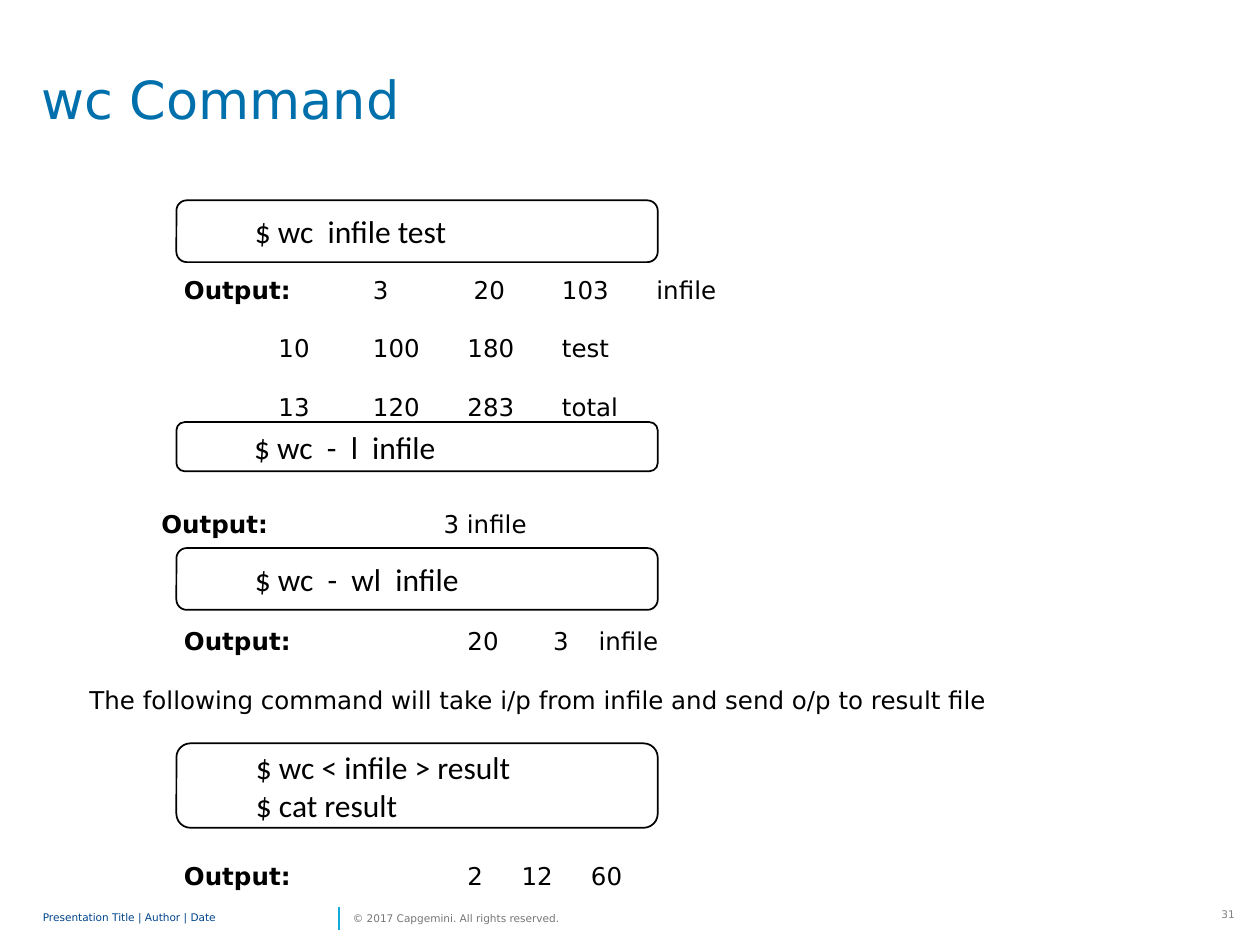
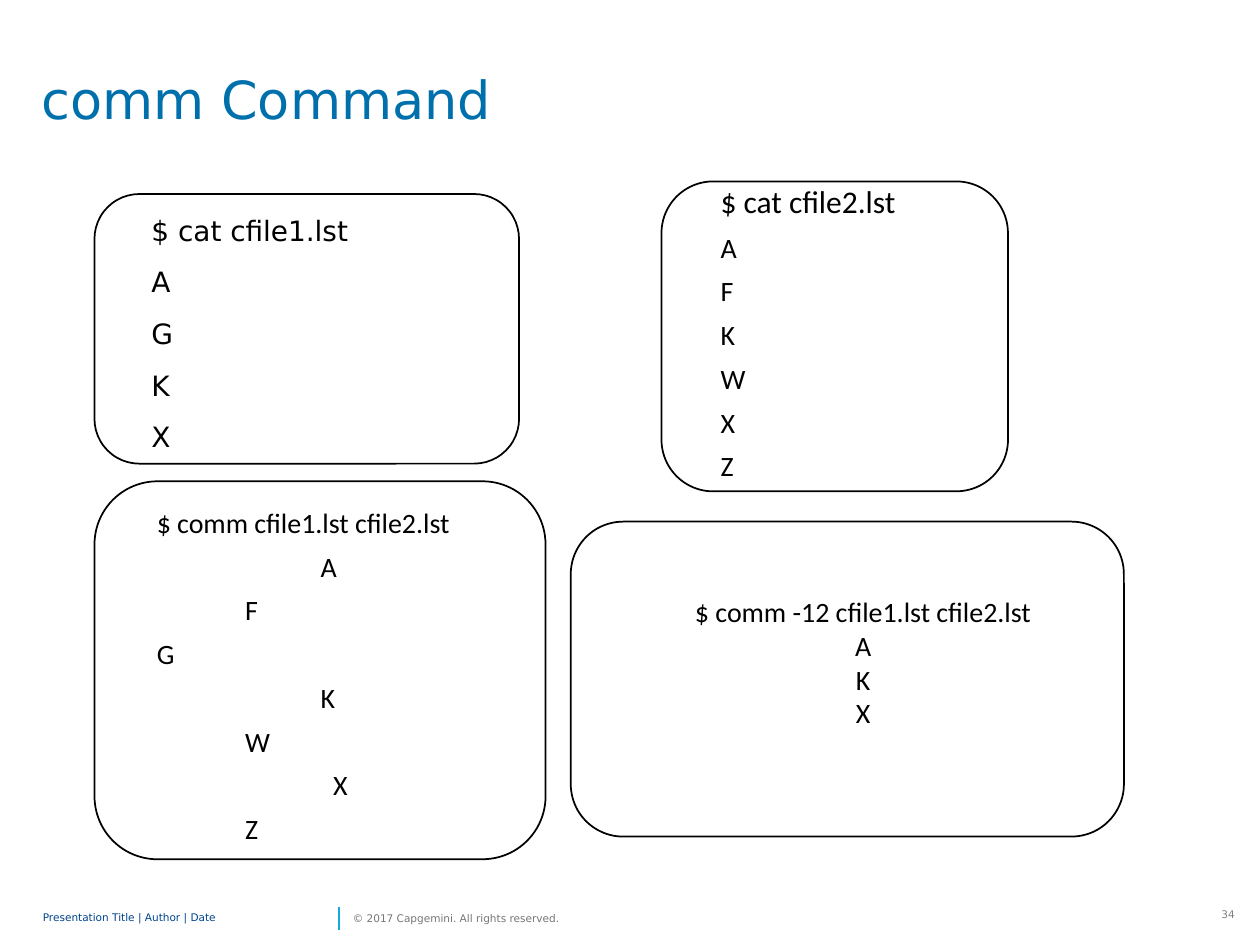
from dataclasses import dataclass

from lxml.etree import SubElement
from pptx import Presentation
from pptx.dml.color import RGBColor
from pptx.enum.shapes import MSO_CONNECTOR, MSO_SHAPE
from pptx.enum.text import MSO_ANCHOR, PP_ALIGN
from pptx.oxml.ns import qn
from pptx.util import Inches, Pt


@dataclass(frozen=True)
class Theme:
    title: str = "0070AD"
    footer: str = "00458D"
    rights: str = "767676"
    number: str = "808080"
    accent: str = "12ABDB"
    ink: str = "000000"
    paper: str = "FFFFFF"
    sans: str = "DejaVu Sans"
    code: str = "Calibri"
    title_size: int = 30
    command_size: int = 18
    listing_size: int = 16
    body_size: int = 14
    footer_size: int = 6
    rule: int = 1
    row: int = 29
    listing_row: int = 25
    gap: float = 4.5


T = Theme()


def rgb(value):
    return RGBColor.from_string(value)


def set_frame(tf, anchor=MSO_ANCHOR.TOP, insets=(0, 0, 0, 0)):
    tf.word_wrap = True
    tf.vertical_anchor = anchor
    tf.margin_left, tf.margin_top, tf.margin_right, tf.margin_bottom = map(Inches, insets)


def next_paragraph(tf, index):
    return tf.add_paragraph() if index else tf.paragraphs[0]


def add_run(p, text, size, color=T.ink, font=T.sans, bold=False):
    r = p.add_run()
    r.text = text
    r.font.size = Pt(size)
    r.font.name = font
    r.font.bold = bold
    r.font.color.rgb = rgb(color)


def add_label(s, box, text, size, color, anchor=MSO_ANCHOR.TOP, spacing=None,
              align=PP_ALIGN.LEFT, insets=(0, 0, 0, 0)):
    tf = s.shapes.add_textbox(*map(Inches, box)).text_frame
    set_frame(tf, anchor, insets)
    p = tf.paragraphs[0]
    p.alignment = align
    p.line_spacing = spacing
    add_run(p, text, size, color)


def add_footer(s, top, number):
    add_label(s, (9.57, top, 0.3, 0.18), number, T.footer_size, T.number,
              align=PP_ALIGN.RIGHT, insets=(0.07, 0.04, 0.07, 0.04))
    line = s.shapes.add_connector(MSO_CONNECTOR.STRAIGHT, Inches(2.69), Inches(top + 0.21),
                                  Inches(2.69), Inches(top + 0.03))
    line.line.color.rgb = rgb(T.accent)
    line.line.width = Pt(T.rule)
    SubElement(line._element.spPr, qn("a:effectLst"))
    add_label(s, (0.34, top, 2.32, 0.24), "Presentation Title | Author | Date",
              T.footer_size, T.footer, MSO_ANCHOR.MIDDLE, 0.85)
    add_label(s, (2.8, top, 1.82, 0.24), "© 2017 Capgemini. All rights reserved.",
              T.footer_size, T.rights, MSO_ANCHOR.MIDDLE)


def add_base(prs, title, number):
    s = prs.slides.add_slide(prs.slide_layouts[6])
    add_footer(s, 7.17, number)
    add_label(s, (0.33, 0.59, 8.98, 0.8), title, T.title_size, T.title, spacing=0.9)
    return s


def add_code_box(s, box, lines, size, indent=0.25, offsets=None, first_size=None,
                 first_spacing=None, spacing=None, before=0, font=T.code,
                 align=PP_ALIGN.LEFT, anchor=MSO_ANCHOR.MIDDLE, insets=(0.1, 0, 0.1, 0)):
    sp = s.shapes.add_shape(MSO_SHAPE.ROUNDED_RECTANGLE, *map(Inches, box))
    sp.shadow.inherit = False
    sp.fill.solid()
    sp.fill.fore_color.rgb = rgb(T.paper)
    sp.line.color.rgb = rgb(T.ink)
    sp.line.width = Pt(T.rule)
    tf = sp.text_frame
    set_frame(tf, anchor, insets)
    for i, text in enumerate(lines):
        p = next_paragraph(tf, i)
        p.alignment = align
        left = indent + (offsets[i] if offsets else 0)
        p._p.get_or_add_pPr().set("marL", str(Inches(left)))
        p.line_spacing = first_spacing if i == 0 else spacing
        if i:
            p.space_before = Pt(before)
        add_run(p, text, first_size if first_size and i == 0 else size, font=font)


def add_output_rows(s, box, rows):
    tf = s.shapes.add_textbox(*map(Inches, box)).text_frame
    set_frame(tf)
    for i, (skipped, cells) in enumerate(rows):
        p = next_paragraph(tf, i)
        tabs = SubElement(p._p.get_or_add_pPr(), qn("a:tabLst"))
        for x, _ in cells:
            SubElement(tabs, qn("a:tab"), pos=str(Inches(x)), algn="l")
        p.line_spacing = Pt(T.row)
        if i:
            p.space_before = Pt(T.gap + skipped * (T.row + T.gap))
        for _, text in cells:
            add_run(p, "\t" + text, T.body_size, bold=text == "Output:")


def build_wc(prs):
    s = add_base(prs, "wc Command", "31")
    columns = [1.88 + 0.75 * i for i in range(4)]
    add_output_rows(s, (0.33, 2.01, 8.98, 5.16), [
        (0, [(1.13, "Output:"), (2.63, "3"), (3.43, "20"), (4.13, "103"), (4.88, "infile")]),
        (0, list(zip(columns, ("10", "100", "180", "test")))),
        (0, list(zip(columns, ("13", "120", "283", "total")))),
        (1, [(0.95, "Output:"), (3.19, "3 infile")]),
        (1, [(1.13, "Output:"), (3.38, "20"), (4.06, "3"), (4.42, "infile")]),
        (0, [(0.38, "The following command will take i/p from infile and send o/p to result file")]),
        (2, [(1.13, "Output:"), (3.38, "2"), (3.81, "12"), (4.36, "60")]),
    ])
    for top, height, lines in (
        (1.59, 0.49, ["$ wc  infile test"]),
        (3.35, 0.39, ["$ wc  -  l  infile"]),
        (4.35, 0.49, ["$ wc  -  wl  infile"]),
        (5.9, 0.67, ["$ wc < infile > result", "$ cat result"]),
    ):
        add_code_box(s, (1.4, top, 3.82, height), lines, T.command_size, indent=0.5)


def build_comm(prs):
    s = add_base(prs, "comm Command", "34")
    row = Pt(T.listing_row)
    add_code_box(s, (0.75, 1.54, 3.37, 2.14), ["$ cat cfile1.lst", *"AGKX"], T.listing_size,
                 spacing=row, before=T.gap, font=T.sans, anchor=MSO_ANCHOR.TOP,
                 insets=(0.1, 0.05, 0.1, 0.05))
    add_code_box(s, (0.75, 3.82, 3.58, 3), ["$ comm cfile1.lst cfile2.lst", *"AFGKWXZ"],
                 T.listing_size, offsets=[0, 1.3, 0.7, 0, 1.3, 0.7, 1.4, 0.7],
                 first_spacing=row, spacing=row)
    add_code_box(s, (5.25, 1.44, 2.75, 2.46), ["$ cat cfile2.lst", *"AFKWXZ"], T.listing_size,
                 first_size=T.command_size, first_spacing=Pt(17), spacing=row)
    add_code_box(s, (4.53, 4.14, 4.39, 2.5), ["$ comm -12 cfile1.lst cfile2.lst", *"AKX"],
                 T.listing_size, align=PP_ALIGN.CENTER, insets=(0.1, 0.05, 0.1, 0.32))


def main():
    prs = Presentation()
    prs.slide_width, prs.slide_height = Inches(10), Inches(7.5)
    build_wc(prs)
    build_comm(prs)
    prs.save("out.pptx")


if __name__ == "__main__":
    main()
